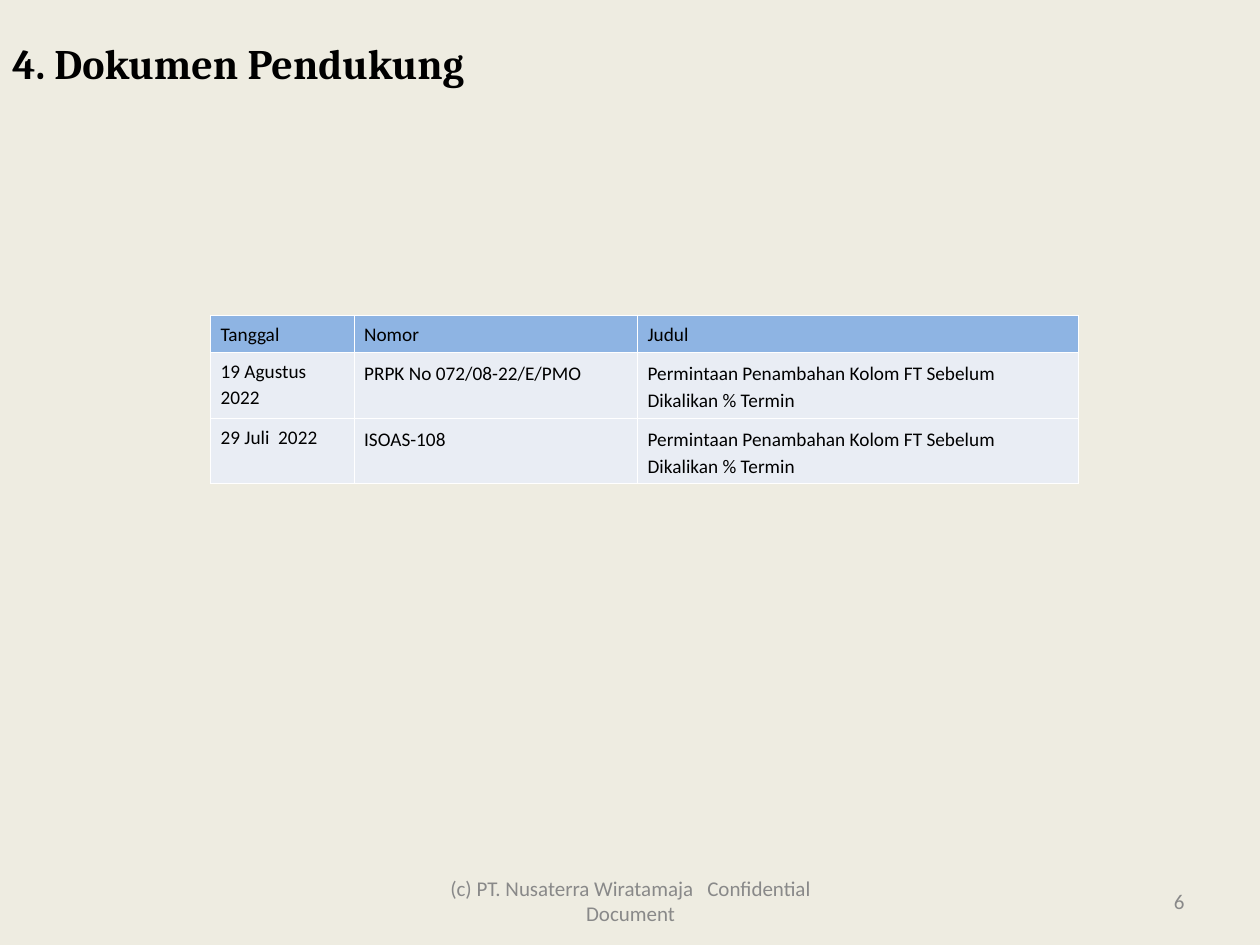
from dataclasses import dataclass

from lxml.etree import SubElement
from pptx import Presentation
from pptx.dml.color import RGBColor
from pptx.enum.text import MSO_ANCHOR as Anchor, PP_ALIGN as Align
from pptx.oxml.ns import qn
from pptx.util import Inches, Pt


@dataclass(frozen=True)
class Theme:
    background: str = "EEECE1"
    ink: str = "000000"
    muted: str = "898989"
    header_fill: str = "8EB4E3"
    body_fill: str = "E9EDF4"
    border: str = "FFFFFF"
    heading_font: str = "Cambria"
    body_font: str = "Calibri"
    title_size: int = 24
    footer_size: int = 12
    table_size: int = 11


THEME = Theme()

COLUMN_WIDTHS = [1.14, 2.25, 3.5]
ROW_HEIGHTS = [0.2, 0.42, 0.42]
REQUEST = "Permintaan Penambahan Kolom FT Sebelum Dikalikan % Termin"
DOCUMENTS = [
    ["Tanggal", "Nomor", "Judul"],
    ["19 Agustus  2022", "PRPK No 072/08-22/E/PMO", REQUEST],
    ["29 Juli  2022", "ISOAS-108", REQUEST],
]


def write(frame, text, size, color, font=THEME.body_font, bold=False,
          align=Align.LEFT, spacing=None):
    """Put one formatted run in the first paragraph of a text frame."""
    frame.word_wrap = True
    para = frame.paragraphs[0]
    para.alignment = align
    if spacing:
        para.line_spacing = spacing
    span = para.add_run()
    span.text = text
    span.font.name = font
    span.font.size = Pt(size)
    span.font.bold = bold
    span.font.color.rgb = RGBColor.from_string(color)


def add_text(page, box, text, size, color, anchor=Anchor.TOP, **style):
    frame = page.shapes.add_textbox(*map(Inches, box)).text_frame
    frame.vertical_anchor = anchor
    write(frame, text, size, color, **style)


def add_title(page, box):
    add_text(page, box, "4. Dokumen Pendukung", THEME.title_size, THEME.ink,
             font=THEME.heading_font, bold=True)


def add_borders(cell):
    """Draw thin lines on all four sides; they precede the fill in the XML."""
    props = cell._tc.get_or_add_tcPr()
    for index, side in enumerate(("lnL", "lnR", "lnT", "lnB")):
        line = SubElement(props, qn(f"a:{side}"), w=str(Pt(0.45)))
        fill = SubElement(line, qn("a:solidFill"))
        SubElement(fill, qn("a:srgbClr"), val=THEME.border)
        props.insert(index, line)


def add_documents(page, box):
    table = page.shapes.add_table(
        len(DOCUMENTS), len(COLUMN_WIDTHS), *map(Inches, box)).table
    table.horz_banding = False
    for column, width in zip(table.columns, COLUMN_WIDTHS):
        column.width = Inches(width)
    for row, height in zip(table.rows, ROW_HEIGHTS):
        row.height = Inches(height)

    for r, values in enumerate(DOCUMENTS):
        for c, value in enumerate(values):
            cell = table.cell(r, c)
            cell.margin_left = cell.margin_right = Inches(0.08)
            cell.margin_top = cell.margin_bottom = Inches(0.05)
            cell.fill.solid()
            cell.fill.fore_color.rgb = RGBColor.from_string(
                THEME.body_fill if r else THEME.header_fill)
            add_borders(cell)
            # Headings and dates are set slightly tighter than the rest
            write(cell.text_frame, value, THEME.table_size, THEME.ink,
                  spacing=1.15 if r and c else 1.07)


def add_footer(page, notice_box, number_box):
    add_text(page, notice_box,
             "(c) PT. Nusaterra Wiratamaja   Confidential Document",
             THEME.footer_size, THEME.muted, Anchor.MIDDLE, align=Align.CENTER)
    add_text(page, number_box, "6",
             THEME.footer_size, THEME.muted, Anchor.MIDDLE, align=Align.RIGHT)


def main():
    deck = Presentation()
    deck.slide_width, deck.slide_height = Inches(10), Inches(7.5)
    page = deck.slides.add_slide(deck.slide_layouts[6])
    page.background.fill.solid()
    page.background.fill.fore_color.rgb = RGBColor.from_string(THEME.background)

    # Footer
    add_footer(page, (3.42, 6.95, 3.17, 0.4), (7.17, 6.95, 2.33, 0.4))
    # Heading
    add_title(page, (0, 0.25, 10, 0.5))
    # Supporting documents
    add_documents(page, (1.67, 2.5, sum(COLUMN_WIDTHS), sum(ROW_HEIGHTS)))

    deck.save("out.pptx")


if __name__ == "__main__":
    main()
